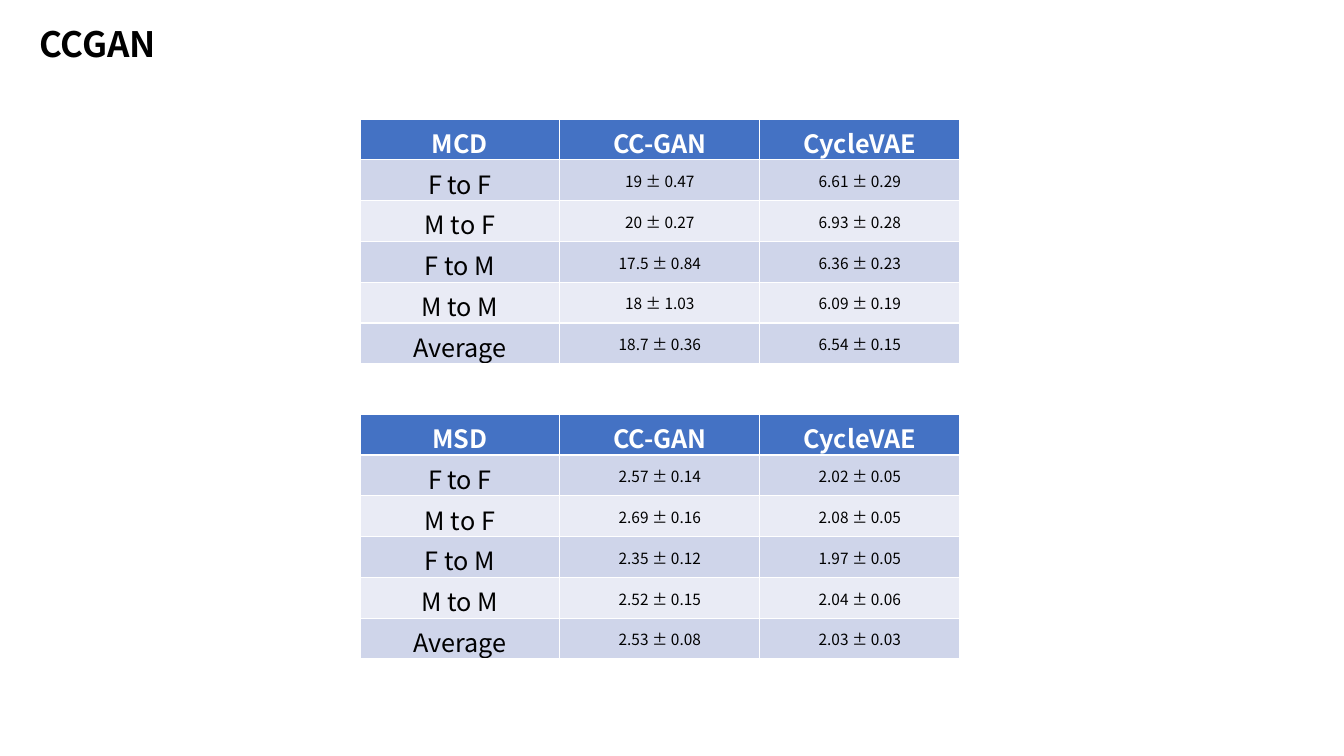
from pptx import Presentation
from pptx import util as u
from pptx.dml import color
from pptx.enum import text
from lxml import etree

FONT = "Noto Sans CJK KR"
DRAWING = "{http://schemas.openxmlformats.org/drawingml/2006/main}"
PAIRS = ["F to F", "M to F", "F to M", "M to M", "Average"]
MODELS = ["CC-GAN", "CycleVAE"]
MCD = [
    ("19 ± 0.47", "6.61 ± 0.29"),
    ("20 ± 0.27", "6.93 ± 0.28"),
    ("17.5 ± 0.84", "6.36 ± 0.23"),
    ("18 ± 1.03", "6.09 ± 0.19"),
    ("18.7 ± 0.36", "6.54 ± 0.15"),
]
MSD = [
    ("2.57 ± 0.14", "2.02 ± 0.05"),
    ("2.69 ± 0.16", "2.08 ± 0.05"),
    ("2.35 ± 0.12", "1.97 ± 0.05"),
    ("2.52 ± 0.15", "2.04 ± 0.06"),
    ("2.53 ± 0.08", "2.03 ± 0.03"),
]


def rgb(value):
    return color.RGBColor.from_string(value)


def add_run(paragraph, words, size, ink, bold=False):
    run = paragraph.add_run()
    run.text = words
    run.font.size = u.Pt(size)
    run.font.name = FONT
    run.font.bold = bold
    run.font.color.rgb = rgb(ink)
    east_asian = etree.Element(DRAWING + "ea", typeface=FONT)
    run.font._element.find(DRAWING + "latin").addnext(east_asian)


def add_title(slide, words, left, top, width, height):
    title = slide.shapes.title
    title.left, title.top = u.Inches(left), u.Inches(top)
    title.width, title.height = u.Inches(width), u.Inches(height)
    frame = title.text_frame
    frame.word_wrap = False
    frame.auto_size = text.MSO_AUTO_SIZE.SHAPE_TO_FIT_TEXT
    frame.vertical_anchor = text.MSO_ANCHOR.TOP
    paragraph = frame.paragraphs[0]
    paragraph.alignment = text.PP_ALIGN.LEFT
    add_run(paragraph, words, 25, "000000", bold=True)


def fill_cell(cell, words, row, column):
    """Style a cell by its place: header row, label column or score."""
    is_header = row == 0
    is_score = not is_header and column > 0
    if is_header:
        background = "4472C4"
    else:
        background = "CFD5EA" if row % 2 else "E9EBF5"
    cell.fill.solid()
    cell.fill.fore_color.rgb = rgb(background)
    cell.vertical_anchor = text.MSO_ANCHOR.MIDDLE
    if is_score:
        cell.margin_left = cell.margin_right = cell.margin_top = u.Inches(0.01)
        cell.margin_bottom = 0
    paragraph = cell.text_frame.paragraphs[0]
    paragraph.alignment = text.PP_ALIGN.CENTER
    ink = "FFFFFF" if is_header else "000000"
    add_run(paragraph, words, 11 if is_score else 18, ink, bold=is_header)


def add_score_table(slide, metric, scores, left, top, width, height):
    rows = [[metric, *MODELS]]
    rows += [[pair, *values] for pair, values in zip(PAIRS, scores)]
    table = slide.shapes.add_table(
        len(rows), len(rows[0]),
        u.Inches(left), u.Inches(top), u.Inches(width), u.Inches(height),
    ).table
    for row, entries in enumerate(rows):
        for column, words in enumerate(entries):
            fill_cell(table.cell(row, column), words, row, column)


def main():
    presentation = Presentation()
    presentation.slide_width = u.Inches(13.33)
    presentation.slide_height = u.Inches(7.5)
    slide = presentation.slides.add_slide(presentation.slide_layouts[5])
    add_title(slide, "CCGAN", 0.29, 0.17, 1.41, 0.52)
    add_score_table(slide, "MCD", MCD, 3.57, 1.18, 5.95, 2.43)
    add_score_table(slide, "MSD", MSD, 3.57, 4.11, 5.95, 2.43)
    presentation.save("out.pptx")


if __name__ == "__main__":
    main()
